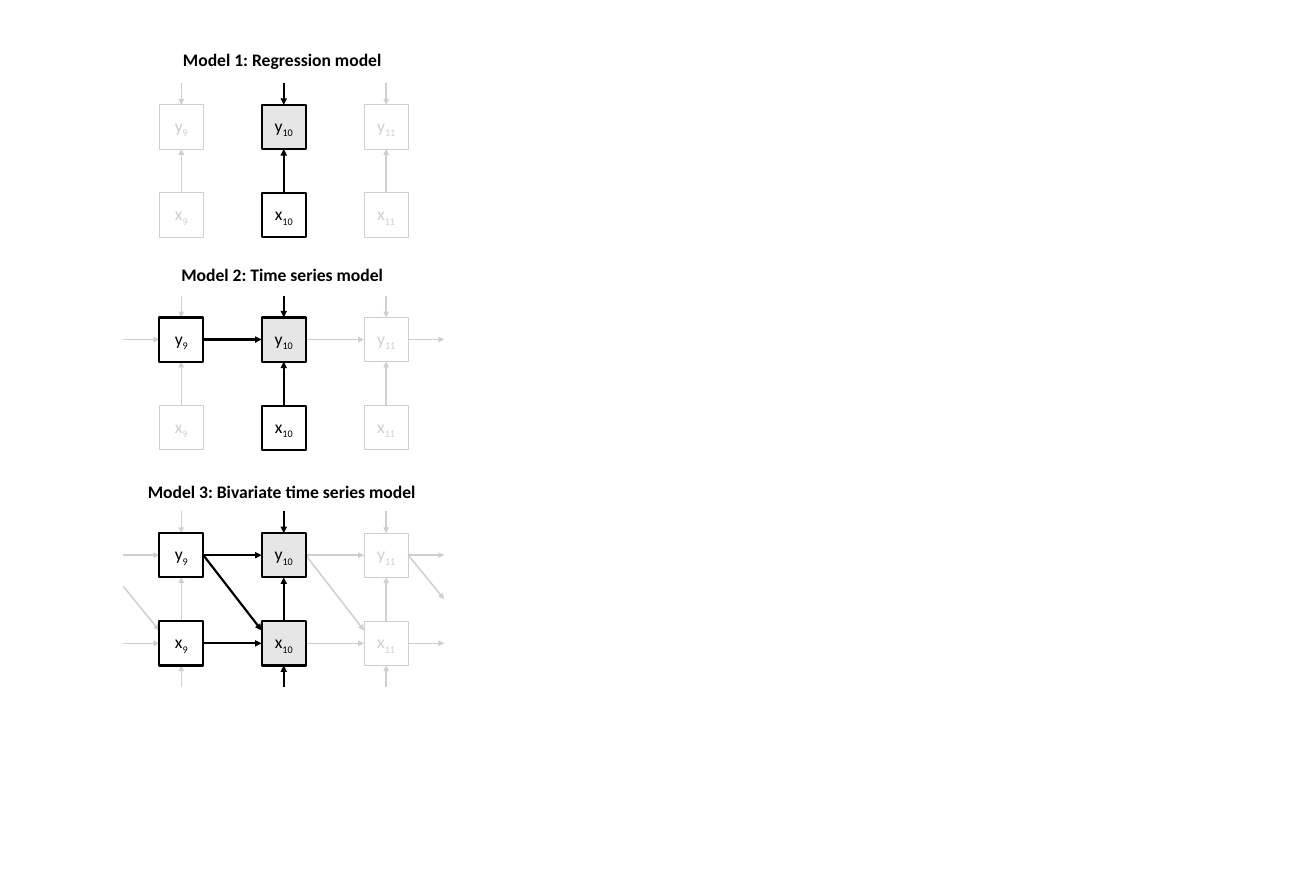
from dataclasses import dataclass

from lxml.etree import SubElement
from pptx import Presentation
from pptx.dml.color import RGBColor
from pptx.enum.shapes import MSO_CONNECTOR, MSO_SHAPE
from pptx.enum.text import MSO_ANCHOR, MSO_AUTO_SIZE, PP_ALIGN
from pptx.oxml.ns import qn
from pptx.slide import Slide
from pptx.text.text import Font
from pptx.util import Pt

COLOURS = {"active": "000000", "inactive": "D0CECE", "outcome": "E7E6E6"}
PERIODS = (9, 10, 11)
CURRENT = 1
NODE_SIZE = 45.2
FIRST_LEFT = 162.9
PERIOD_STEP = 104.8
ROW_STEP = 90.2
NOISE_LENGTH = 22.4
OUTER_LENGTH = 36.7
OUTER_DROP = 45
CROSS_INSET = 9.4
HEADING_CENTRE = 289.6
HEADING_HEIGHT = 29


@dataclass(frozen=True)
class Model:
    """Describe one path diagram; outcomes are the rows that get explained."""
    heading: str
    heading_width: float
    heading_top: float
    top: float
    outcomes: str
    lagged: bool


MODELS = (
    Model("Model 1: Regression model", 218.9, 46.1, 107.3, "y", False),
    Model("Model 2: Time series model", 222.5, 266.4, 324.9, "y", True),
    Model("Model 3: Bivariate time series model", 290.9, 488.2, 545.6, "yx", True),
)


def colour(name: str) -> RGBColor:
    """Look up a colour by its role."""
    return RGBColor.from_string(COLOURS[name])


def style_font(font: Font, role: str, bold: bool = False) -> None:
    """Apply the diagram's typeface."""
    font.name = "Calibri"
    font.size = Pt(18)
    font.bold = bold
    font.color.rgb = colour(role)


def period_left(period: int) -> float:
    """Give the left edge of a period's nodes."""
    return FIRST_LEFT + period * PERIOD_STEP


def row_top(model: Model, variable: str) -> float:
    """Give the top edge of a variable's row."""
    return model.top + "yx".index(variable) * ROW_STEP


def add_arrow(slide: Slide, start: tuple[float, float],
              end: tuple[float, float], active: bool) -> None:
    """Draw a straight arrow between two points."""
    arrow = slide.shapes.add_connector(
        MSO_CONNECTOR.STRAIGHT, *(Pt(length) for length in start + end))
    arrow.line.color.rgb = colour("active" if active else "inactive")
    arrow.line.width = Pt(2.25 if active else 1.5)
    properties = arrow.element.spPr
    SubElement(properties.find(qn("a:ln")), qn("a:tailEnd"), type="triangle")
    SubElement(properties, qn("a:effectLst"))


def add_node(slide: Slide, model: Model, variable: str, period: int) -> None:
    """Draw one variable at one period."""
    is_outcome = variable in model.outcomes
    active = period == CURRENT or (
        period < CURRENT and model.lagged and is_outcome)
    role = "active" if active else "inactive"
    node = slide.shapes.add_shape(
        MSO_SHAPE.RECTANGLE, Pt(period_left(period)),
        Pt(row_top(model, variable)), Pt(NODE_SIZE), Pt(NODE_SIZE))
    node.shadow.inherit = False
    node.line.color.rgb = colour(role)
    node.line.width = Pt(2.25 if active else 1)
    if period == CURRENT and is_outcome:
        node.fill.solid()
        node.fill.fore_color.rgb = colour("outcome")
    else:
        node.fill.background()
    node.text_frame.vertical_anchor = MSO_ANCHOR.MIDDLE
    label = node.text_frame.paragraphs[0]
    label.alignment = PP_ALIGN.CENTER
    for text in (variable, str(PERIODS[period])):
        run = label.add_run()
        run.text = text
        style_font(run.font, role)
    run.font._element.set("baseline", "-25000")


def add_vertical_arrows(slide: Slide, model: Model, period: int) -> None:
    """Draw the effect of x on y and the noise entering the outcomes."""
    centre = period_left(period) + NODE_SIZE / 2
    active = period == CURRENT
    y_top, x_top = row_top(model, "y"), row_top(model, "x")
    add_arrow(slide, (centre, x_top), (centre, y_top + NODE_SIZE), active)
    add_arrow(slide, (centre, y_top - NOISE_LENGTH), (centre, y_top), active)
    if "x" in model.outcomes:
        bottom = x_top + NODE_SIZE
        add_arrow(slide, (centre, bottom + NOISE_LENGTH), (centre, bottom), active)


def add_lagged_arrows(slide: Slide, model: Model, target: int) -> None:
    """Draw the effects that lead from one period into the next."""
    enters, leaves = target == 0, target == len(PERIODS)
    active = target == CURRENT
    end = period_left(target)
    start = end - PERIOD_STEP + NODE_SIZE
    if enters:
        start = end - OUTER_LENGTH
    if leaves:
        end = start + OUTER_LENGTH
    for variable in model.outcomes:
        middle = row_top(model, variable) + NODE_SIZE / 2
        add_arrow(slide, (start, middle), (end, middle), active)
    if "x" in model.outcomes:
        source_y = row_top(model, "y") + NODE_SIZE / 2
        target_y = row_top(model, "x") + CROSS_INSET
        if enters:
            source_y = target_y - OUTER_DROP
        if leaves:
            target_y = source_y + OUTER_DROP
        add_arrow(slide, (start, source_y), (end, target_y), active)


def add_heading(slide: Slide, model: Model) -> None:
    """Write the model's name above its diagram."""
    heading = slide.shapes.add_textbox(
        Pt(HEADING_CENTRE - model.heading_width / 2), Pt(model.heading_top),
        Pt(model.heading_width), Pt(HEADING_HEIGHT))
    heading.text_frame.word_wrap = False
    heading.text_frame.auto_size = MSO_AUTO_SIZE.SHAPE_TO_FIT_TEXT
    heading.text_frame.text = model.heading
    style_font(heading.text_frame.paragraphs[0].runs[0].font, "active", bold=True)


def add_model(slide: Slide, model: Model) -> None:
    """Draw a whole path diagram."""
    if model.lagged:
        for target in range(len(PERIODS) + 1):
            add_lagged_arrows(slide, model, target)
    for period in range(len(PERIODS)):
        add_vertical_arrows(slide, model, period)
        for variable in "yx":
            add_node(slide, model, variable, period)
    add_heading(slide, model)


def main() -> None:
    """Build and save the slide."""
    presentation = Presentation()
    presentation.slide_width = Pt(1346.4)
    presentation.slide_height = Pt(898.56)
    slide = presentation.slides.add_slide(presentation.slide_layouts[6])
    for model in MODELS:
        add_model(slide, model)
    presentation.save("out.pptx")


if __name__ == "__main__":
    main()
